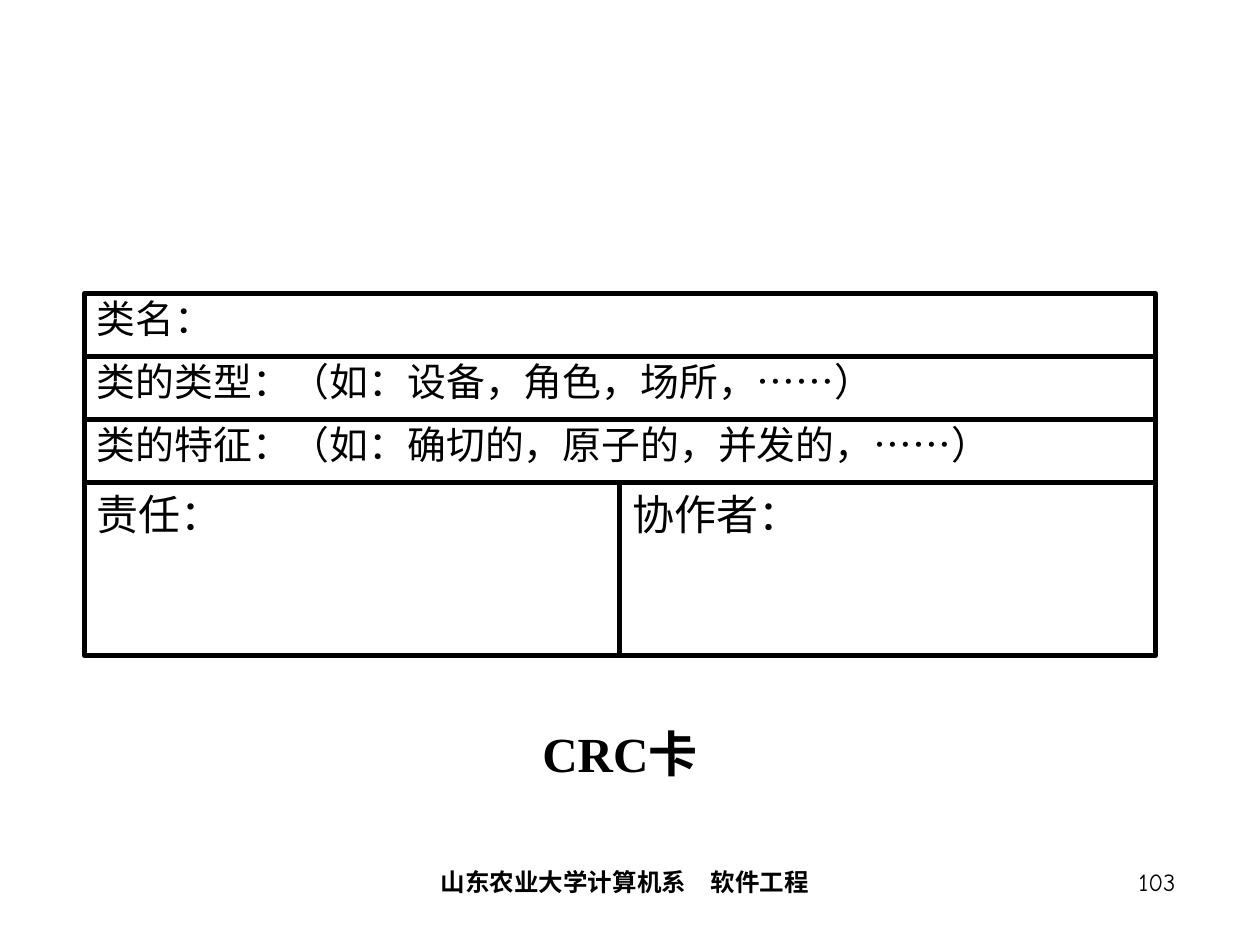
from itertools import accumulate

from lxml import etree
from pptx import Presentation
from pptx.dml.color import RGBColor
from pptx.enum import lang, shapes, text
from pptx.oxml import ns
from pptx.util import Cm, Pt

HEADER_ROWS = ["类名：", "类的类型：（如：设备，角色，场所，……）", "类的特征：（如：确切的，原子的，并发的，……）"]
SPLIT_ROW = ["责任：", "协作者："]
CAPTION = "CRC卡"
COURSE = "山东农业大学计算机系　软件工程"
PAGE = "103"

THEME = {
    "ink": RGBColor.from_string("000000"),
    "cjk": "Noto Sans CJK SC",
    "border": Pt(3),
    "header": {"name": "Noto Sans CJK SC", "size": Pt(22.2), "bold": False},
    "split": {"name": "Noto Sans CJK SC", "size": Pt(24), "bold": False},
    "caption": {"name": "Times New Roman", "size": Pt(28), "bold": True},
    "course": {"name": "Comic Neue", "size": Pt(14), "bold": True},
    "page": {"name": "Comic Neue", "size": Pt(14), "bold": False},
}

CARD_LEFT, CARD_TOP, CARD_WIDTH = Cm(1.7), Cm(5.92), Cm(21.59)
HEADER_HEIGHT, SPLIT_HEIGHT = Cm(1.27), Cm(3.48)
CAPTION_AT = Cm(10.59), Cm(14.22), Cm(3.81), Cm(1.91)
COURSE_AT = Cm(5.08), Cm(17.35), Cm(15.04), Cm(1.27)
PAGE_AT = Cm(18.67), Cm(17.35), Cm(5.28), Cm(1.27)


def write(frame, words, style, align=text.PP_ALIGN.LEFT, spacing=1.0):
    paragraph = frame.paragraphs[0]
    paragraph.alignment = align
    paragraph.line_spacing = spacing
    run = paragraph.add_run()
    run.text = words
    for attribute, value in THEME[style].items():
        setattr(run.font, attribute, value)
    run.font.color.rgb = THEME["ink"]
    run.font.language_id = lang.MSO_LANGUAGE_ID.SIMPLIFIED_CHINESE
    latin = run.font._element.find(ns.qn("a:latin"))
    east_asian = etree.Element(ns.qn("a:ea"), typeface=THEME["cjk"])
    latin.addnext(east_asian)


def draw_border(line):
    line.color.rgb = THEME["ink"]
    line.width = THEME["border"]


def add_field(slide, place, words, style, spacing):
    field = slide.shapes.add_shape(shapes.MSO_SHAPE.RECTANGLE, *place)
    field.shadow.inherit = False
    field.fill.background()
    draw_border(field.line)
    frame = field.text_frame
    frame.word_wrap = True
    frame.vertical_anchor = text.MSO_ANCHOR.TOP
    write(frame, words, style, spacing=spacing)


def add_rule(slide, *ends):
    rule = slide.shapes.add_connector(shapes.MSO_CONNECTOR.STRAIGHT, *ends)
    draw_border(rule.line)
    etree.SubElement(rule._element.spPr, ns.qn("a:effectLst"))


def add_card(slide):
    heights = [HEADER_HEIGHT] * len(HEADER_ROWS) + [SPLIT_HEIGHT]
    edges = list(accumulate(heights, initial=CARD_TOP))
    split_top, bottom = edges[-2:]
    column_width = CARD_WIDTH // len(SPLIT_ROW)
    columns = [CARD_LEFT + column_width * i for i in range(len(SPLIT_ROW) + 1)]

    for top, words in zip(edges, HEADER_ROWS):
        place = CARD_LEFT, top, CARD_WIDTH, HEADER_HEIGHT
        add_field(slide, place, words, "header", 0.9)
    for left, words in zip(columns, SPLIT_ROW):
        place = left, split_top, column_width, SPLIT_HEIGHT
        add_field(slide, place, words, "split", 1.0)

    for edge in edges:
        add_rule(slide, CARD_LEFT, edge, CARD_LEFT + CARD_WIDTH, edge)
    for column in columns:
        top = CARD_TOP if column in (columns[0], columns[-1]) else split_top
        add_rule(slide, column, top, column, bottom)


def add_caption(slide):
    caption = slide.shapes.title
    caption.left, caption.top, caption.width, caption.height = CAPTION_AT
    frame = caption.text_frame
    frame.auto_size = text.MSO_AUTO_SIZE.NONE
    frame.word_wrap = False
    frame.margin_left = frame.margin_right = 0
    frame.vertical_anchor = text.MSO_ANCHOR.MIDDLE
    write(frame, CAPTION, "caption", text.PP_ALIGN.CENTER)


def add_footer(slide):
    for words, place, style, align in (
        (COURSE, COURSE_AT, "course", text.PP_ALIGN.CENTER),
        (PAGE, PAGE_AT, "page", text.PP_ALIGN.RIGHT),
    ):
        frame = slide.shapes.add_textbox(*place).text_frame
        frame.word_wrap = True
        write(frame, words, style, align)


def main():
    deck = Presentation()
    deck.slide_width, deck.slide_height = Cm(25.4), Cm(19.05)
    slide = deck.slides.add_slide(deck.slide_layouts.get_by_name("Title Only"))
    add_card(slide)
    add_caption(slide)
    add_footer(slide)
    deck.save("out.pptx")


if __name__ == "__main__":
    main()
